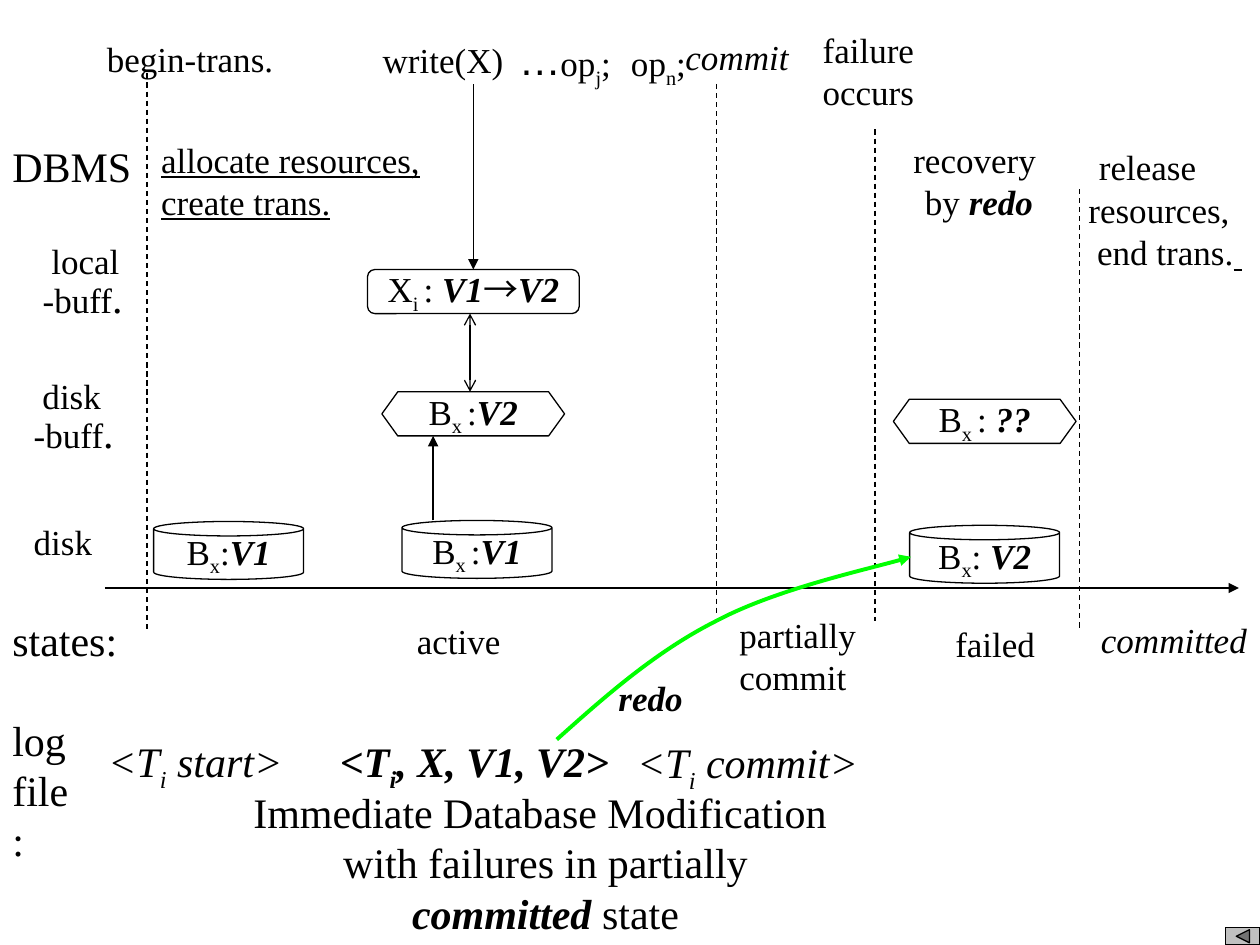
from lxml.etree import SubElement
from pptx import Presentation
from pptx.dml.color import RGBColor
from pptx.enum.dml import MSO_LINE
from pptx.enum.shapes import MSO_CONNECTOR, MSO_SHAPE
from pptx.enum.text import MSO_ANCHOR, MSO_AUTO_SIZE, PP_ALIGN
from pptx.oxml.ns import qn
from pptx.util import Pt

BLACK = RGBColor(0x00, 0x00, 0x00)
WHITE = RGBColor(0xFF, 0xFF, 0xFF)
GREEN = RGBColor(0x00, 0xFF, 0x00)
GRAY = RGBColor(0xC0, 0xC0, 0xC0)

ITALIC = {"italic": True}
STRONG = {"bold": True, "italic": True}
UNDERLINED = {"underline": True}
LARGE = {"size": Pt(24)}
SUB = {"subscript": True}


def write(frame, paragraphs, size=20, align=PP_ALIGN.LEFT, spacing=None, style=None):
    """Fill a frame; a paragraph is a list of plain strings and (string, format) pairs."""
    for index, runs in enumerate(paragraphs):
        paragraph = frame.add_paragraph() if index else frame.paragraphs[0]
        paragraph.alignment = align
        if spacing:
            paragraph.line_spacing = spacing
        for item in runs:
            words, extra = (item, {}) if isinstance(item, str) else item
            formats = {"name": "Times New Roman", "size": Pt(size), **(style or {}), **extra}
            subscript = formats.pop("subscript", False)
            run = paragraph.add_run()
            run.text = words
            run.font.color.rgb = BLACK
            for name, value in formats.items():
                setattr(run.font, name, value)
            if subscript:
                run.font._element.set("baseline", "-25000")


def add_label(slide, box, paragraphs, wrap=False, **text_options):
    frame = slide.shapes.add_textbox(*map(Pt, box)).text_frame
    frame.word_wrap = wrap
    frame.auto_size = MSO_AUTO_SIZE.SHAPE_TO_FIT_TEXT
    write(frame, paragraphs, **text_options)


def add_node(slide, kind, box, runs=None, adjustment=None, fill=WHITE):
    node = slide.shapes.add_shape(kind, *map(Pt, box))
    node.shadow.inherit = False
    node.fill.solid()
    node.fill.fore_color.rgb = fill
    node.line.color.rgb = BLACK
    node.line.width = Pt(0.75)
    if adjustment:
        node.adjustments[0] = adjustment
    if runs:
        node.text_frame.word_wrap = False
        node.text_frame.vertical_anchor = MSO_ANCHOR.MIDDLE
        write(node.text_frame, [runs], align=PP_ALIGN.CENTER)
    return node


def add_arrowheads(shape, **ends):
    line = shape._element.spPr.find(qn("a:ln"))
    for end in ("headEnd", "tailEnd"):
        if end in ends:
            SubElement(line, qn(f"a:{end}"), type=ends[end])


def add_line(slide, start, end, dashed=False, **ends):
    line = slide.shapes.add_connector(MSO_CONNECTOR.STRAIGHT, *map(Pt, start + end))
    SubElement(line._element.spPr, qn("a:effectLst"))
    line.line.color.rgb = BLACK
    line.line.width = Pt(0.75)
    if dashed:
        line.line.dash_style = MSO_LINE.DASH
    add_arrowheads(line, **ends)
    return line


def add_redo_curve(slide, points):
    """Draw a start point followed by triples of Bezier points."""
    start, *rest = [(Pt(x), Pt(y)) for x, y in points]
    builder = slide.shapes.build_freeform(*start)
    builder.add_line_segments(rest, close=False)
    curve = builder.convert_to_shape()
    outline = next(curve._element.iter(qn("a:path")))
    segments = outline.findall(qn("a:lnTo"))
    for first in range(0, len(segments), 3):
        bezier = SubElement(outline, qn("a:cubicBezTo"))
        for segment in segments[first:first + 3]:
            bezier.append(segment[0])
            outline.remove(segment)
    curve.shadow.inherit = False
    curve.fill.background()
    curve.line.color.rgb = GREEN
    curve.line.width = Pt(2.25)
    add_arrowheads(curve, tailEnd="triangle")


def add_title(slide):
    title = slide.shapes.title
    title.left, title.top, title.width, title.height = map(Pt, (54, 445.7, 515.5, 93.6))
    title.text_frame.auto_size = MSO_AUTO_SIZE.NONE
    title.text_frame.vertical_anchor = MSO_ANCHOR.TOP
    write(title.text_frame,
          [["Immediate Database Modification "], ["with failures in partially"],
           [("committed", STRONG), " state"]],
          size=24, align=PP_ALIGN.CENTER)


def add_row_names(slide):
    add_label(slide, (0, 77, 86, 36), [["DBMS"]], size=24)
    for left, top, name in ((17.3, 138.2, " local"), (12.2, 215.3, " disk")):
        add_label(slide, (left, top, 62, 49.7), [[name], ["-buff", (".", LARGE)]], spacing=0.8)
    add_label(slide, (12.2, 293.8, 52, 31.7), [["disk"]])
    add_label(slide, (0, 347.8, 84, 36), [["states:"]], size=24)
    add_label(slide, (0, 404.6, 57.6, 93.6), [["log"], ["file :"]], wrap=True, size=24)


def add_operations(slide):
    add_label(slide, (54, 18, 113, 31.7), [["begin-trans."]])
    add_label(slide, (211.6, 18.7, 87, 31.7), [["write(X)"]])
    add_label(slide, (289.4, 15.8, 40, 36), [["…"]], size=24, style={"name": "Arial"})
    for left, index in ((313.2, "j"), (353.5, "n")):
        add_label(slide, (left, 20.2, 50, 34.6), [["op", (index, SUB), ";"]])
    add_label(slide, (383, 16.6, 76.4, 31.7), [["commit"]], align=PP_ALIGN.CENTER, style=ITALIC)
    add_label(slide, (463, 13, 80, 55.4), [["failure"], ["occurs"]], wrap=True)


def add_actions(slide):
    add_label(slide, (85, 75.6, 167, 55.4), [["allocate resources,"], ["create trans."]],
              style=UNDERLINED)
    add_label(slide, (514.8, 75.6, 89.3, 55.4), [["recovery "], ["by ", ("redo", STRONG)]],
              align=PP_ALIGN.CENTER)
    add_label(slide, (614.9, 75.6, 105, 84.2),
              [[(" ", LARGE), "release"], ["resources,"], [" end trans.", (" ", UNDERLINED)]])


def add_states(slide):
    add_label(slide, (231.1, 350.6, 66, 31.7), [["active"]])
    add_label(slide, (415.4, 347, 85, 55.4), [["partially"], ["commit"]])
    add_label(slide, (538.8, 352.1, 66, 31.7), [["failed"]])
    add_label(slide, (622, 350, 98, 31.7), [["committed"]], style=ITALIC)


def add_log_entries(slide):
    for box, rest, style in (((54.7, 416.9, 118, 40.3), " start>", ITALIC),
                             ((187.2, 416.9, 173, 40.3), ", X, V1, V2>", STRONG),
                             ((357, 417.6, 143, 40.3), " commit>", ITALIC)):
        add_label(slide, box, [["<T", ("i", SUB), rest]], size=24, style=style)
    add_label(slide, (346.3, 383, 55, 31.7), [["redo"]], style=STRONG)


def add_storage(slide):
    """Draw the disks and buffers, and the arrows that link them."""
    for left, top, runs in (
            (87.8, 298, ["B", ("x", SUB), ":", ("V1", STRONG)]),
            (229.7, 297.4, ["B", ("x ", SUB), ":", ("V1", STRONG)]),
            (519.8, 300.2, ["B", ("x", SUB), ": ", ("V2", STRONG)])):
        add_node(slide, MSO_SHAPE.CAN, (left, top, 85.7, 33.1), runs)
    for left, top, runs in (
            (218.2, 223.9, ["B", ("x ", SUB), ":", ("V2", STRONG)]),
            (510.5, 228.2, ["B", ("x ", SUB), ": ", ("??", STRONG)])):
        add_node(slide, MSO_SHAPE.HEXAGON, (left, top, 104.4, 25.2), runs, 0.36)
    local_buffer = add_node(
        slide, MSO_SHAPE.ROUNDED_RECTANGLE, (210, 154, 121, 25.2),
        ["X", ("i ", SUB), ": ", ("V1", STRONG), ("→", {"name": "Noto Sans CJK SC"}),
         ("V2", STRONG)])
    write_arrow = add_line(slide, (270.5, 48.2), (270.5, 154), tailEnd="triangle")
    write_arrow.end_connect(local_buffer, 0)
    add_line(slide, (268.6, 179.2), (268.6, 223.9), headEnd="arrow", tailEnd="arrow")
    add_line(slide, (247.5, 297.4), (247.5, 249.1), tailEnd="triangle")


def main():
    presentation = Presentation()
    presentation.slide_width, presentation.slide_height = Pt(720), Pt(540)
    slide = presentation.slides.add_slide(presentation.slide_layouts[5])

    add_title(slide)
    add_line(slide, (60, 336), (708, 336), tailEnd="triangle")
    for x, top, bottom in ((84, 42, 360), (409.5, 48, 352), (500, 74, 355), (617, 108, 360)):
        add_line(slide, (x, top), (x, bottom), dashed=True)
    add_row_names(slide)
    add_operations(slide)
    add_actions(slide)
    add_states(slide)
    add_storage(slide)
    add_log_entries(slide)
    add_redo_curve(slide, ((318.2, 422.6), (346.3, 397.4), (375, 372.2), (409, 355),
                           (442.8, 337), (501.8, 324), (520.6, 318.2)))
    add_node(slide, MSO_SHAPE.ACTION_BUTTON_BACK_OR_PREVIOUS, (700.5, 530, 19.5, 10), fill=GRAY)
    presentation.save("out.pptx")


if __name__ == "__main__":
    main()
